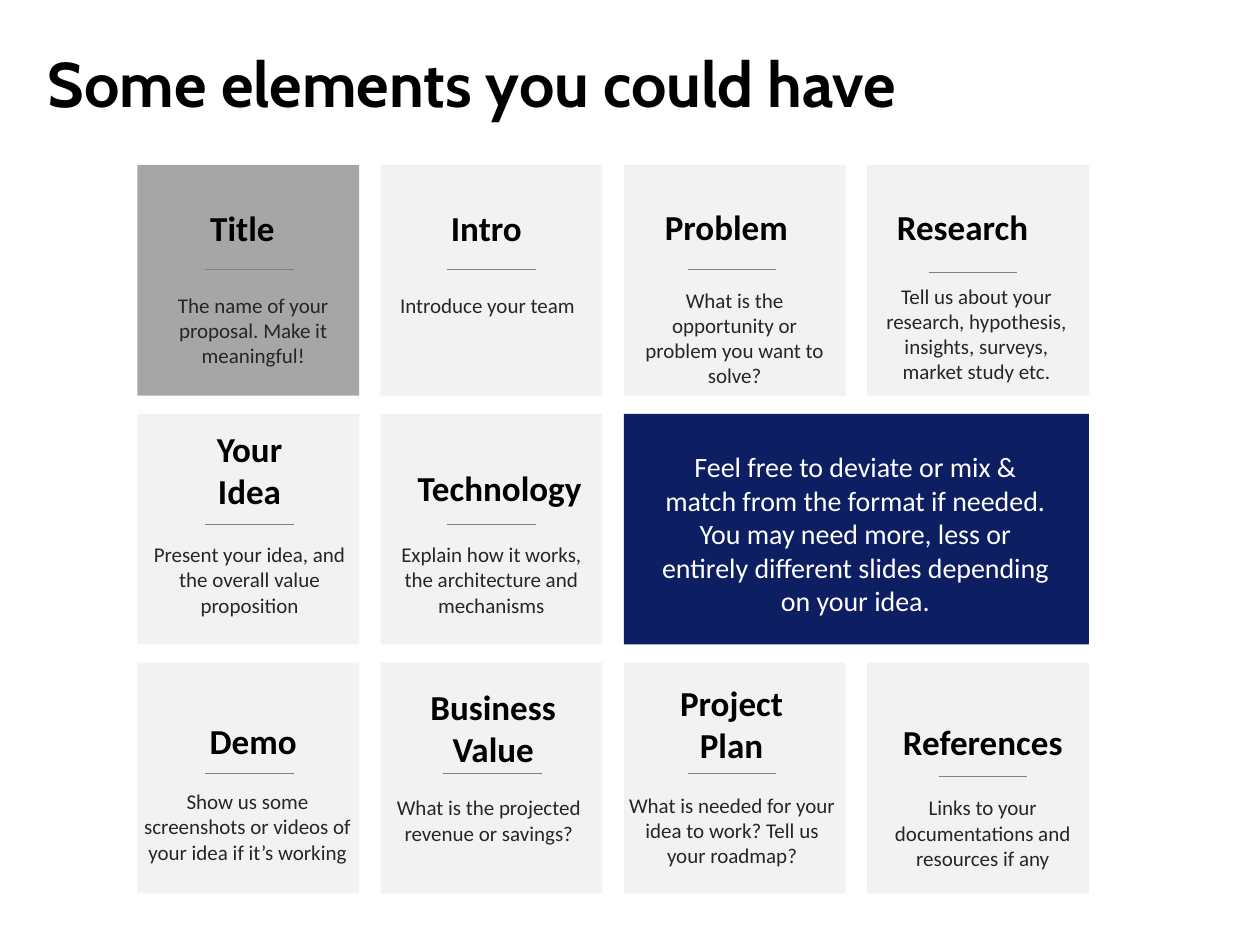
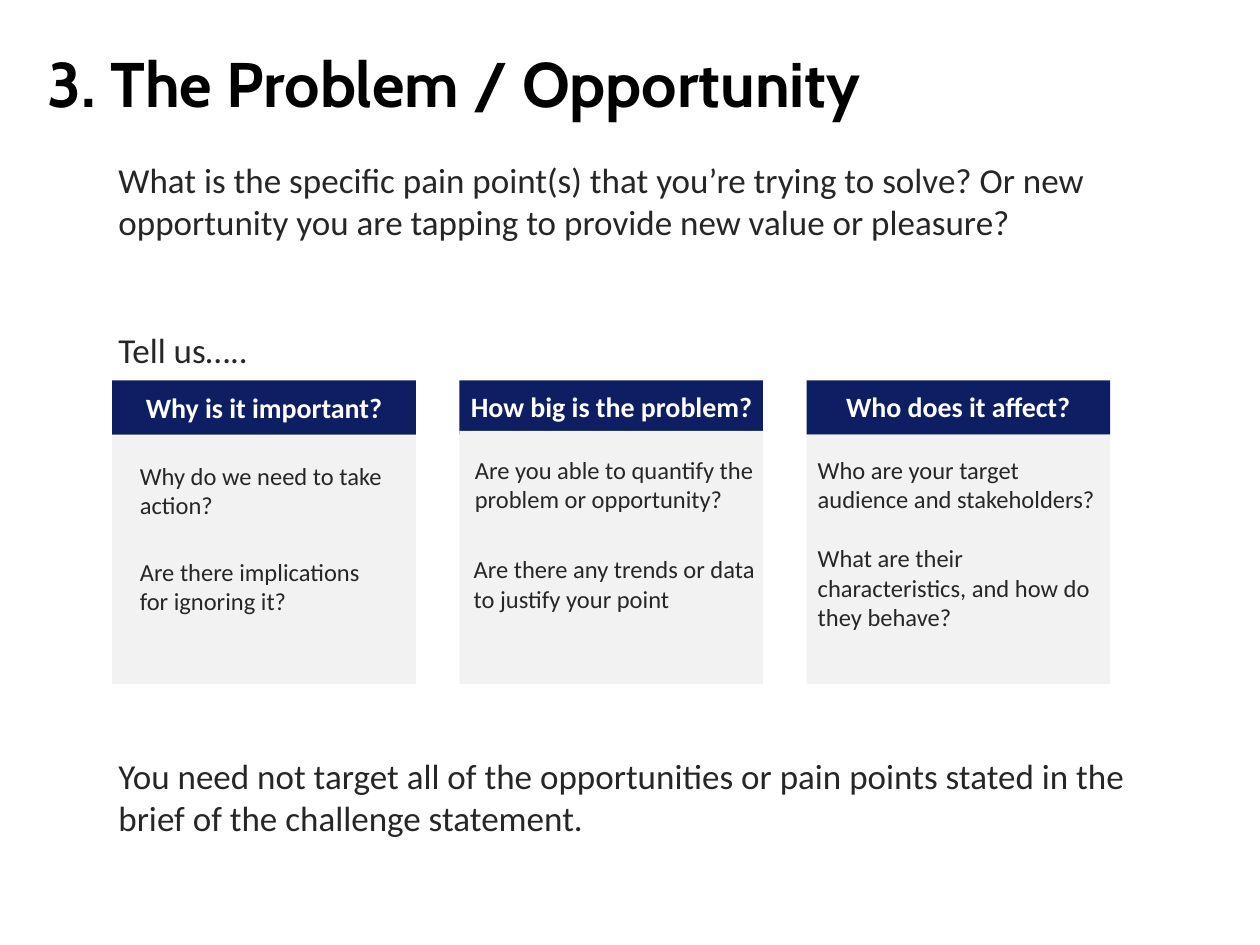
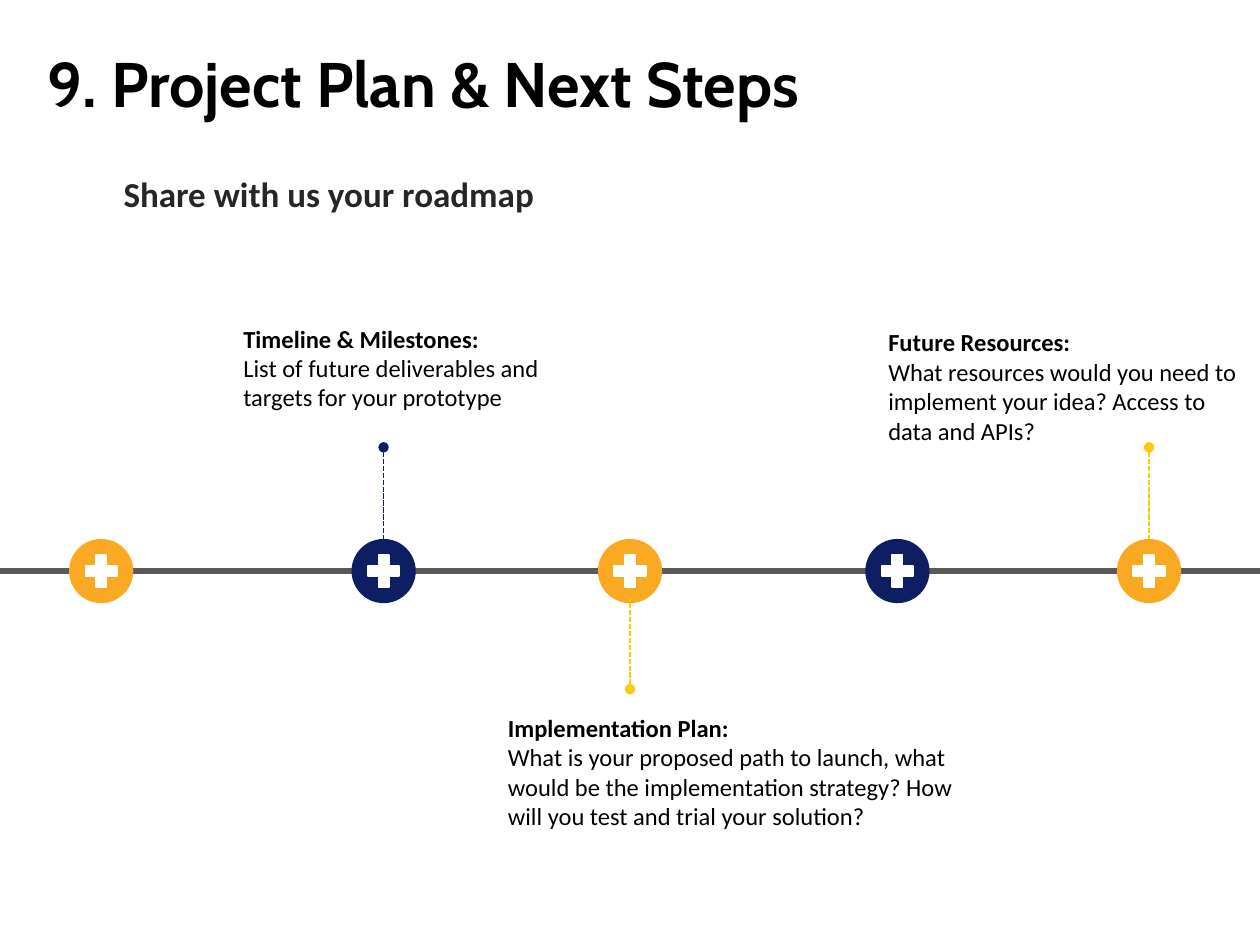
from dataclasses import dataclass

from lxml.etree import SubElement
from pptx import Presentation
from pptx.dml.color import RGBColor
from pptx.enum.dml import MSO_LINE
from pptx.enum.shapes import MSO_CONNECTOR, MSO_SHAPE as SHAPE
from pptx.enum.text import MSO_ANCHOR, MSO_AUTO_SIZE, PP_ALIGN as ALIGN
from pptx.oxml.ns import qn
from pptx.util import Pt

COLORS = {
    "navy": "0E1E63", "orange": "FAAA22", "yellow": "FFCA08",
    "white": "FFFFFF", "black": "000000", "ink": "262626",
    "panel": "F2F2F2", "lead": "A6A6A6", "rule": "808080", "axis": "595959",
}
TITLE_FONT, BODY_FONT = "Cabin", "Calibri"
INSET = 3.6
LINE_HEIGHT = 1.22

CARD_LEFT, CARD_TOP = 78.5, 94.3
CARD_WIDTH, CARD_HEIGHT = 126.7, 131.8
CARD_STEP_X, CARD_STEP_Y = 139, 142.2

COLUMN_LEFT, COLUMN_STEP, COLUMN_WIDTH = 64.1, 198.4, 173.5
COLUMN_TOP, COLUMN_BOTTOM, BAND_HEIGHT = 217.4, 391, 31

AXIS_Y, MARKER_SIZE = 326.3, 36.7
BAR_WIDTH, BAR_HEIGHT = 18, 5.8


@dataclass
class Card:
    """A storyboard card: its cell, its texts, and where they sit."""
    column: int
    row: int
    name: tuple
    heading: tuple
    rule: tuple
    detail: str
    detail_at: tuple
    detail_width: float = 122.4
    rule_width: float = 50.4
    fill: str = "panel"


CARDS = [
    Card(0, 0, ("Title",), (116.6, 114.5, 43.9), (117.4, 154.1),
         "The name of your proposal. Make it meaningful!", (83.5, 163.4), fill="lead"),
    Card(1, 0, ("Intro",), (254.2, 114.5, 47.5), (255.6, 154.1),
         "Introduce your team", (217.4, 163.4)),
    Card(2, 0, ("Problem",), (376.6, 113.8, 77), (393.1, 154.1),
         "What is the opportunity or problem you want to solve?", (358.6, 160.6)),
    Card(3, 0, ("Research",), (509, 113.8, 82), (530.6, 155.5),
         "Tell us about your research, hypothesis, insights, surveys, market study etc.",
         (496.8, 158.4)),
    Card(0, 1, ("Your", "Idea"), (114.5, 240.5, 56.2), (117.4, 299.5),
         "Present your idea, and the overall value proposition", (81.4, 306)),
    Card(1, 1, ("Technology",), (226.8, 262.8, 117.4), (255.6, 299.5),
         "Explain how it works, the architecture and mechanisms", (219.6, 306)),
    Card(0, 2, ("Demo",), (115.9, 407.5, 57.6), (117.4, 442.1),
         "Show us some screenshots or videos of your idea if it’s working",
         (77.8, 447.1), 127.4),
    Card(1, 2, ("Business", "Value"), (241.9, 388.1, 79.9), (253.4, 442.1),
         "What is the projected revenue or savings?", (218.2, 450.7), rule_width=56.2),
    Card(2, 2, ("Project", "Plan"), (376.6, 385.9, 82.8), (393.1, 442.1),
         "What is needed for your idea to work? Tell us your roadmap?",
         (355, 449.3), 126.7),
    Card(3, 2, ("References",), (511.2, 408.2, 100.8), (536.4, 443.5),
         "Links to your documentations and resources if any", (500.4, 450.7)),
]

COLUMNS = [
    ("Why is it important?", (70.6, 219.6, 160.6), 249.1, [
        ((76.3, 259.9, 162, 41), ["Why do we need to take action?"]),
        ((76.3, 314.6, 144.7, 41), ["Are there implications for ignoring it?"])]),
    ("How big is the problem?", (257, 218.9, 185), 246.2, [
        ((267.8, 256.3, 170.6, 41), ["Are you able to quantify the problem or opportunity?"]),
        ((267.1, 313.2, 168.5, 41), ["Are there any trends or data to justify your point"])]),
    ("Who does it affect?", (467.3, 218.9, 160.6), 248.4, [
        ((463.7, 256.3, 170.6, 126), [
            "Who are your target audience and stakeholders?",
            "What are their characteristics, and how do they behave?"])]),
]

MARKERS = [(57.8, "orange"), (219.2, "navy"), (360, "orange"),
           (512.8, "navy"), (656.6, "orange")]

CALLOUTS = [(219.2, 255.6, 314.6, "navy"), (656.6, 255.6, 308.2, "yellow"),
            (360, 393.8, 342, "yellow")]

NOTES = [
    ((504, 183.6, 208.8, 74.9), "Future Resources:",
     "What resources would you need to implement your idea? Access to data and APIs?"),
    ((286.6, 403.9, 262.1, 74.9), "Implementation Plan:",
     "What is your proposed path to launch, what would be the implementation strategy? "
     "How will you test and trial your solution?"),
    ((135.4, 181.4, 185.8, 58.3), "Timeline & Milestones:",
     "List of future deliverables and targets for your prototype"),
]


def rgb(name):
    """Look up a palette colour."""
    return RGBColor.from_string(COLORS[name])


def style(paragraph, size, color, bold=False, font=BODY_FONT):
    """Set the font of a whole paragraph."""
    face = paragraph.font
    face.name, face.size, face.bold = font, Pt(size), bold
    face.color.rgb = rgb(color)


def prepare_frame(frame, wrap=True):
    """Give a text frame the deck's insets, anchor and wrapping."""
    frame.word_wrap = wrap
    frame.auto_size = MSO_AUTO_SIZE.NONE
    frame.vertical_anchor = MSO_ANCHOR.TOP
    frame.margin_left = frame.margin_right = Pt(INSET)
    frame.margin_top = frame.margin_bottom = Pt(INSET)


def add_page(deck, title):
    """Add a title-only slide with its title placed and styled."""
    page = deck.slides.add_slide(deck.slide_layouts[5])
    box = page.shapes.title
    box.left, box.top, box.width, box.height = map(Pt, (23.8, 26.6, 681, 50.4))
    prepare_frame(box.text_frame)
    para = box.text_frame.paragraphs[0]
    para.text = title
    para.alignment = ALIGN.LEFT
    para.line_spacing, para.space_before = 0.9, Pt(10)
    style(para, 36, "black", True, TITLE_FONT)
    return page


def add_text(page, area, lines, size, color="ink", bold=False, align=ALIGN.LEFT,
             wrap=True, gaps=()):
    """Add a text box; gaps are the blank lines before each later paragraph."""
    frame = page.shapes.add_textbox(*map(Pt, area)).text_frame
    prepare_frame(frame, wrap)
    for index, line in enumerate(lines):
        para = frame.add_paragraph() if index else frame.paragraphs[0]
        para.text = line
        para.alignment = align
        style(para, size, color, bold)
        if index and gaps:
            para.space_before = Pt(round(gaps[index - 1] * size * LINE_HEIGHT, 1))
    return frame


def add_block(shapes, area, fill, kind=SHAPE.RECTANGLE, outline=None):
    """Add a flat filled shape."""
    block = shapes.add_shape(kind, *map(Pt, area))
    block.shadow.inherit = False
    block.fill.solid()
    block.fill.fore_color.rgb = rgb(fill)
    if outline:
        block.line.color.rgb = rgb(outline)
        block.line.width = Pt(1)
    else:
        block.line.fill.background()
    return block


def add_line(page, start, end, color, width, callout=False):
    """Add a straight line; a callout is dashed and starts with a dot."""
    line = page.shapes.add_connector(MSO_CONNECTOR.STRAIGHT, *map(Pt, start + end))
    line.line.color.rgb = rgb(color)
    line.line.width = Pt(width)
    properties = line.element.spPr
    if callout:
        line.line.dash_style = MSO_LINE.SQUARE_DOT
        SubElement(properties.find(qn("a:ln")), qn("a:headEnd"), type="oval")
    SubElement(properties, qn("a:effectLst"))


def add_card(page, card):
    """Add a storyboard card with heading, rule and detail."""
    add_block(page.shapes, (CARD_LEFT + card.column * CARD_STEP_X,
                            CARD_TOP + card.row * CARD_STEP_Y,
                            CARD_WIDTH, CARD_HEIGHT), card.fill)
    add_text(page, card.heading + (7 + 24 * len(card.name),), card.name, 20, "black",
             True, ALIGN.CENTER, wrap=False)
    left, y = card.rule
    add_line(page, card.rule, (left + card.rule_width, y), "rule", 0.5)
    add_text(page, card.detail_at + (card.detail_width, 51), [card.detail], 12,
             align=ALIGN.CENTER)


def add_marker(page, center, color):
    """Add a round timeline marker with a plus sign."""
    group = page.shapes.add_group_shape()
    add_block(group.shapes, (center - MARKER_SIZE / 2, AXIS_Y - MARKER_SIZE / 2,
                             MARKER_SIZE, MARKER_SIZE), color, SHAPE.OVAL)
    for angle in (90, 180):
        bar = add_block(group.shapes, (center - BAR_WIDTH / 2, AXIS_Y - BAR_HEIGHT / 2,
                                       BAR_WIDTH, BAR_HEIGHT), "white", outline="white")
        bar.rotation = angle


def build_elements(deck):
    """Build the slide of suggested elements."""
    page = add_page(deck, "Some elements you could have")
    for card in CARDS:
        add_card(page, card)
    add_block(page.shapes, (CARD_LEFT + 2 * CARD_STEP_X, CARD_TOP + CARD_STEP_Y,
                            CARD_STEP_X + CARD_WIDTH, CARD_HEIGHT), "navy")
    add_text(page, (372.2, 253.4, 233.3, 102.2),
             ["Feel free to deviate or mix & match from the format if needed. You may "
              "need more, less or entirely different slides depending on your idea."],
             16, "white", align=ALIGN.CENTER)


def build_problem(deck):
    """Build the problem slide with its three question columns."""
    page = add_page(deck, "3. The Problem / Opportunity")
    add_text(page, (64.1, 87.1, 607.7, 419),
             ["What is the specific pain point(s) that you’re trying to solve? Or new "
              "opportunity you are tapping to provide new value or pleasure?",
              "Tell us…..",
              "You need not target all of the opportunities or pain points stated in "
              "the brief of the challenge statement."], 20, gaps=(2, 9))
    for index, (question, heading, body_top, prompts) in enumerate(COLUMNS):
        left = COLUMN_LEFT + index * COLUMN_STEP
        add_block(page.shapes, (left, COLUMN_TOP, COLUMN_WIDTH, BAND_HEIGHT), "navy")
        add_block(page.shapes, (left, body_top, COLUMN_WIDTH, COLUMN_BOTTOM - body_top),
                  "panel")
        add_text(page, heading + (26,), [question], 16, "white", True, ALIGN.CENTER)
        for area, lines in prompts:
            add_text(page, area, lines, 14, gaps=(1,))


def build_roadmap(deck):
    """Build the roadmap slide with its timeline."""
    page = add_page(deck, "9. Project Plan & Next Steps")
    add_text(page, (67, 95, 668.9, 31.7), ["Share with us your roadmap"], 20, bold=True)
    add_line(page, (720, AXIS_Y), (0, AXIS_Y), "axis", 3)
    for center, color in MARKERS:
        add_marker(page, center, color)
    for x, dot_y, end_y, color in CALLOUTS:
        add_line(page, (x, dot_y), (x, end_y), color, 1, callout=True)
    for area, heading, detail in NOTES:
        frame = add_text(page, area, [heading, detail], 14, "black")
        frame.paragraphs[0].font.bold = True


def main():
    """Build and save the deck."""
    deck = Presentation()
    deck.slide_width, deck.slide_height = Pt(720), Pt(540)
    build_elements(deck)
    build_problem(deck)
    build_roadmap(deck)
    deck.save("out.pptx")


if __name__ == "__main__":
    main()
